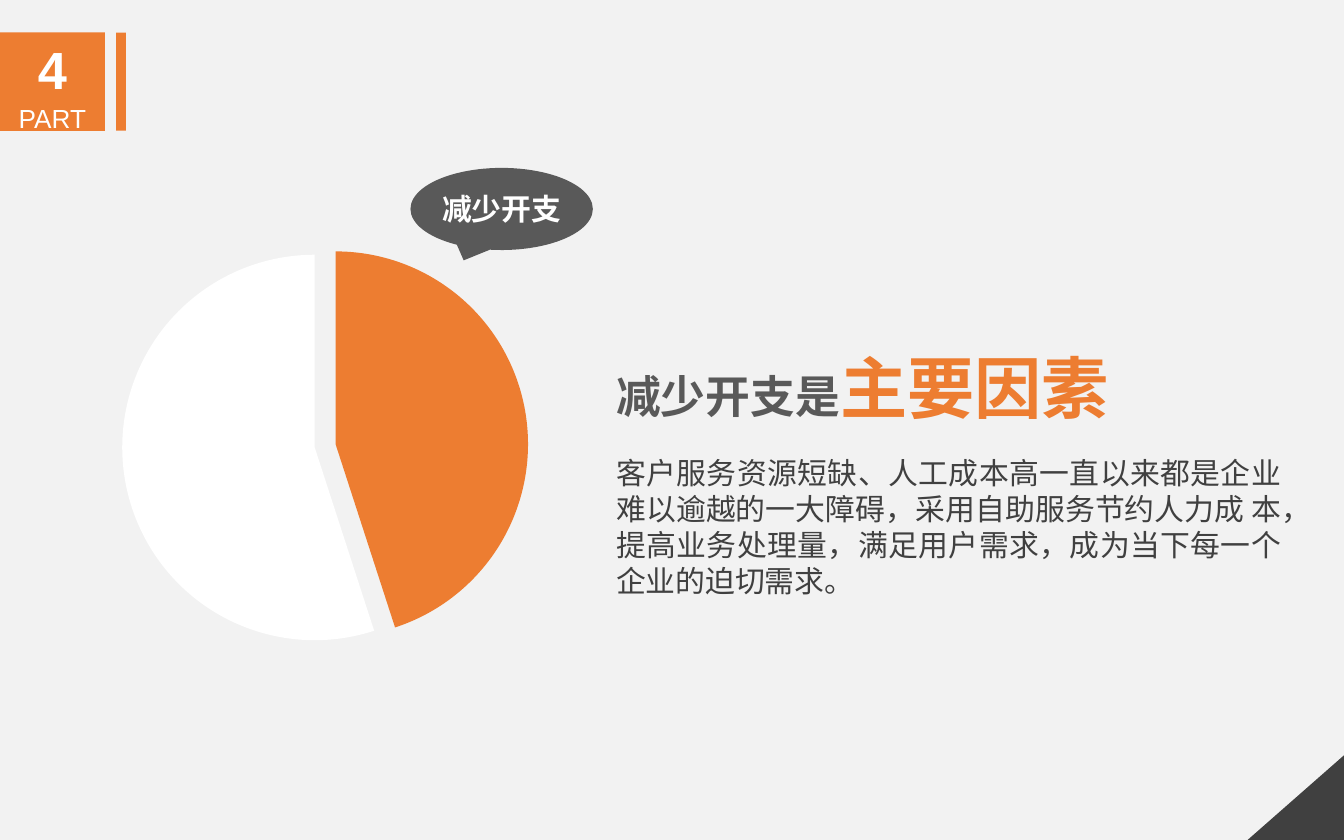
from dataclasses import dataclass

from pptx import Presentation
from pptx.chart.data import CategoryChartData
from pptx.dml.color import RGBColor
from pptx.enum.chart import XL_CHART_TYPE
from pptx.enum.shapes import MSO_SHAPE as SHAPE
from pptx.enum.text import MSO_ANCHOR as ANCHOR, PP_ALIGN as ALIGN
from pptx.oxml import parse_xml
from pptx.oxml.ns import nsdecls
from pptx.util import Pt


@dataclass(frozen=True)
class Theme:
    background: str = "F2F2F2"
    accent: str = "ED7D31"
    dark: str = "404040"
    grey: str = "595959"
    white: str = "FFFFFF"
    latin: str = "Arial"
    heading: str = "Noto Sans CJK JP"
    body: str = "Noto Sans CJK SC"
    number: int = 28
    caption: int = 14
    title: int = 24
    emphasis: int = 36
    text: int = 16
    chart: int = 10


T = Theme()


def set_font(font, name, size, color, bold=False):
    """Style a font, using the same typeface for Latin and East Asian text."""
    font.size, font.bold, font.name = Pt(size), bold, name
    font.color.rgb = RGBColor.from_string(color)
    font._element.find("{*}latin").addnext(
        parse_xml(f'<a:ea {nsdecls("a")} typeface="{name}"/>'))


def add_solid(kind, x, y, w, h, color):
    sp = s.shapes.add_shape(kind, Pt(x), Pt(y), Pt(w), Pt(h))
    sp.shadow.inherit = False
    sp.fill.solid()
    sp.fill.fore_color.rgb = RGBColor.from_string(color)
    sp.line.fill.background()
    return sp


prs = Presentation()
prs.slide_width, prs.slide_height = Pt(720), Pt(450)
s = prs.slides.add_slide(prs.slide_layouts[6])
s.background.fill.solid()
s.background.fill.fore_color.rgb = RGBColor.from_string(T.background)

# Section marker and corner
add_solid(SHAPE.RECTANGLE, 62.2, 17.5, 5.3, 52.6, T.accent)
marker = add_solid(SHAPE.RECTANGLE, 0, 17.3, 56.2, 52.8, T.accent)
corner = add_solid(SHAPE.RIGHT_TRIANGLE, 670.4, 401, 46.8, 53.3, T.dark)
corner.rotation = 270

tf = marker.text_frame
tf.vertical_anchor = ANCHOR.MIDDLE
tf.margin_top, tf.margin_bottom = Pt(4), 0
tf.text = "4\nPART"
number, caption = tf.paragraphs
number.alignment = caption.alignment = ALIGN.CENTER
caption.space_before = Pt(1.2)
set_font(number.font, T.latin, T.number, T.white, bold=True)
set_font(caption.font, T.latin, T.caption, T.white)

# Title
tf = s.shapes.add_textbox(Pt(323), Pt(180), Pt(383), Pt(60)).text_frame
tf.word_wrap = True
tf.vertical_anchor = ANCHOR.MIDDLE
p = tf.paragraphs[0]
p.line_spacing = 0.9
for text, size, color in (("减少开支是", T.title, T.grey),
                          ("主要因素", T.emphasis, T.accent)):
    r = p.add_run()
    r.text = text
    set_font(r.font, T.heading, size, color, bold=True)

# Explanation
tf = s.shapes.add_textbox(Pt(323), Pt(240), Pt(371), Pt(86)).text_frame
tf.word_wrap = True
p = tf.paragraphs[0]
p.text = ("客户服务资源短缺、人工成本高一直以来都是企业难以逾越的一大障碍，"
          "采用自助服务节约人力成 本，提高业务处理量，满足用户需求，"
          "成为当下每一个企业的迫切需求。")
p.alignment = ALIGN.JUSTIFY
p.line_spacing = Pt(19.3)
set_font(p.font, T.body, T.text, T.dark)

# Pie with the first slice pulled out
data = CategoryChartData()
data.categories = ["1", "2"]
data.add_series("Series 1", (45, 55))
chart = s.shapes.add_chart(XL_CHART_TYPE.PIE, Pt(54.7), Pt(122.4),
                           Pt(228.2), Pt(234.7), data).chart
chart.has_legend = chart.has_title = False
chart.font.name, chart.font.size = T.latin, Pt(T.chart)
chart.font.color.rgb = RGBColor(0, 0, 0)
plot = chart.plots[0]
plot.vary_by_categories = False
series = plot.series[0]
for i, color in enumerate((T.accent, T.white)):
    fmt = series.points[i].format
    fmt.fill.solid()
    fmt.fill.fore_color.rgb = RGBColor.from_string(color)
    fmt.line.fill.background()
first_slice = series._element.find("{*}dPt")
first_slice.find("{*}spPr").addprevious(
    parse_xml(f'<c:explosion {nsdecls("c")} val="11"/>'))

plot_area = chart._chartSpace.chart.plotArea
for layout in plot_area.findall("{*}layout"):
    plot_area.remove(layout)
plot_area.insert(0, parse_xml(
    f'<c:layout {nsdecls("c")}><c:manualLayout><c:layoutTarget val="inner"/>'
    '<c:xMode val="edge"/><c:yMode val="edge"/>'
    '<c:x val="0.04"/><c:y val="0.06"/><c:w val="0.92"/><c:h val="0.88"/>'
    '</c:manualLayout></c:layout>'))

# Callout on the slice
callout = add_solid(SHAPE.OVAL_CALLOUT, 219.9, 90, 97.7, 44, T.grey)
tf = callout.text_frame
tf.margin_left = tf.margin_top = tf.margin_right = tf.margin_bottom = 0
tf.vertical_anchor = ANCHOR.MIDDLE
p = tf.paragraphs[0]
p.text = "减少开支"
p.alignment = ALIGN.CENTER
set_font(p.font, T.body, T.text, T.white, bold=True)

prs.save("out.pptx")
